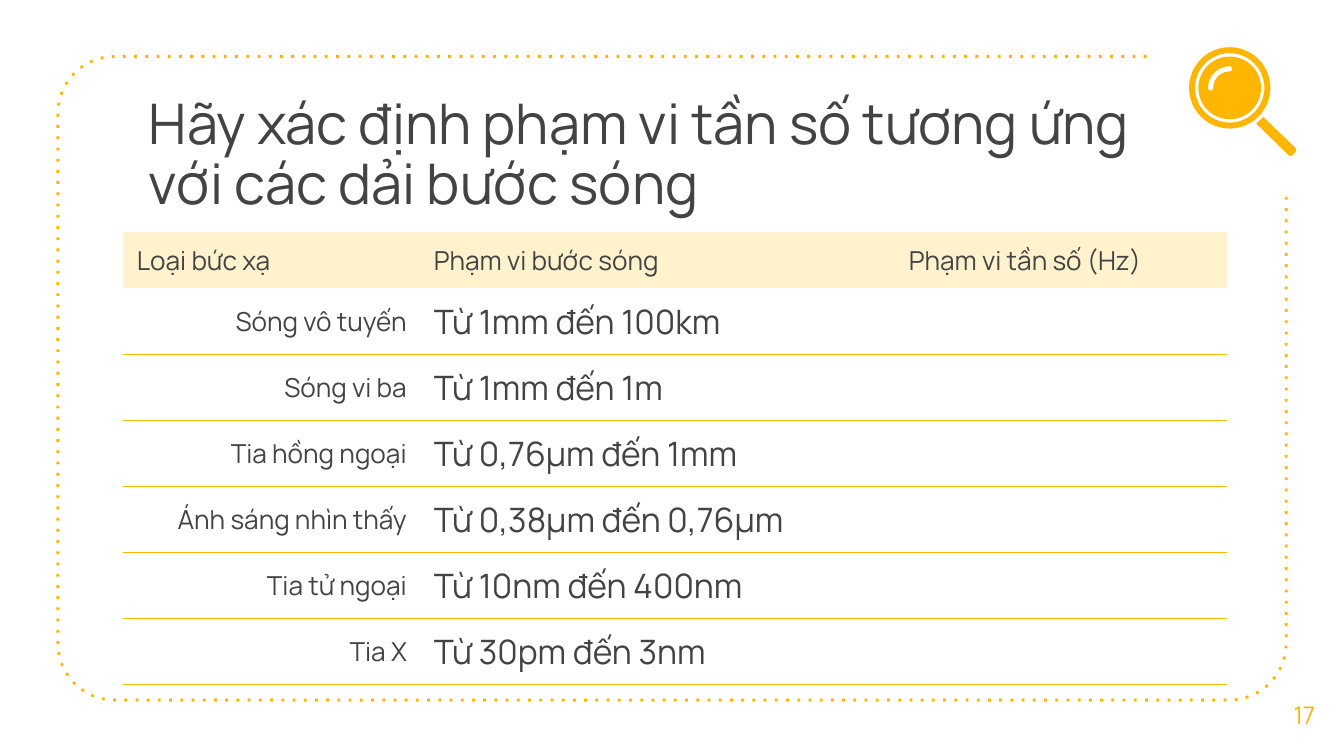
from math import cos, radians, sin

from lxml.etree import SubElement
from pptx import Presentation
from pptx.dml.color import RGBColor as Rgb
from pptx.enum.dml import MSO_LINE as Dash
from pptx.enum.text import MSO_ANCHOR as Anchor, PP_ALIGN as Align
from pptx.oxml.ns import qn
from pptx.util import Pt

FONT = "Manrope"
COLORS = {"gold": "FFB600", "cream": "FFF2CC", "ink": "434343"}
PLAIN = "{2D5ABB26-0587-4C30-8999-92F81FD0307C}"
HEAD = ["Loại bức xạ", "Phạm vi bước sóng", "Phạm vi tần số (Hz)"]
BANDS = [
    ("Sóng vô tuyến", "Từ 1mm đến 100km"),
    ("Sóng vi ba", "Từ 1mm đến 1m"),
    ("Tia hồng ngoại", "Từ 0,76µm đến 1mm"),
    ("Ánh sáng nhìn thấy", "Từ 0,38µm đến 0,76µm"),
    ("Tia tử ngoại", "Từ 10nm đến 400nm"),
    ("Tia X", "Từ 30pm đến 3nm"),
]


def color(name):
    return Rgb.from_string(COLORS[name])


def arc(x, y, r, start, end, steps=16):
    turns = [radians(start + (end - start) * i / steps) for i in range(steps + 1)]
    return [(x + r * cos(t), y + r * sin(t)) for t in turns]


def outline(slide, paths, close=True):
    paths = [[(Pt(x), Pt(y)) for x, y in path] for path in paths]
    pen = slide.shapes.build_freeform(*paths[0][0], scale=1.0)
    for i, path in enumerate(paths):
        if i:
            pen.move_to(*path[0])
        pen.add_line_segments(path[1:], close=close)
    shape = pen.convert_to_shape()
    shape.shadow.inherit = False
    return shape


def add_solid(slide, paths):
    shape = outline(slide, paths)
    shape.fill.solid()
    shape.fill.fore_color.rgb = color("gold")
    shape.line.fill.background()


def add_frame(slide):
    left, top, right, low, r = 31, 30.2, 689, 375.1, 30.5
    path = [(614.2, top)]
    path += arc(left + r, top + r, r, 270, 180)
    path += arc(left + r, low - r, r, 180, 90)
    path += arc(right - r, low - r, r, 90, 0)
    path.append((right, 105.1))
    shape = outline(slide, [path], close=False)
    shape.fill.background()
    line = shape.line
    line.color.rgb = color("gold")
    line.width = Pt(1.5)
    line.dash_style = Dash.ROUND_DOT
    next(shape.element.iter(qn("a:prstDash"))).set("val", "dot")


def add_lens(slide):
    x, y, mid, cap = 658.8, 47.1, 10.2, 1.4
    add_solid(slide, [arc(x, y, r, 0, 360, 48) for r in (18.6, 21.8)])
    glint = arc(x, y, mid + cap, 180, 270)
    glint += arc(x, y - mid, cap, 270, 450)
    glint += arc(x, y, mid - cap, 270, 180)
    glint += arc(x - mid, y, cap, 0, 180)
    add_solid(slide, [glint, arc(x, y, 16.8, 0, 360, 48)])
    add_solid(slide, [[(676.8, 62.7), (694, 79.2), (694.5, 80.4), (694, 81.6),
                       (692.6, 83), (691.4, 83.6), (690.2, 83), (673, 66.2)]])


def style(para, size, name="ink", align=Align.LEFT):
    para.alignment = align
    font = para.font
    font.name, font.size, font.color.rgb = FONT, Pt(size), color(name)


def add_text(slide, text, box, size, name, align, anchor, top=7.2):
    frame = slide.shapes.add_textbox(*map(Pt, box)).text_frame
    frame.word_wrap = True
    frame.vertical_anchor = anchor
    frame.margin_left = frame.margin_right = frame.margin_bottom = Pt(7.2)
    frame.margin_top = Pt(top)
    para = frame.paragraphs[0]
    para.text = text
    style(para, size, name, align)
    return para


def rule_below(cell):
    line = SubElement(cell._tc.get_or_add_tcPr(), qn("a:lnB"), w=str(Pt(0.75)))
    fill = SubElement(line, qn("a:solidFill"))
    SubElement(fill, qn("a:srgbClr"), val=COLORS["gold"])


def fill_cell(cell, text, size, align):
    cell.vertical_anchor = Anchor.MIDDLE
    cell.margin_left = cell.margin_right = Pt(7.2)
    cell.margin_top = cell.margin_bottom = Pt(5.4)
    para = cell.text_frame.paragraphs[0]
    para.text = text
    style(para, size, align=align)


def add_bands(slide):
    shape = slide.shapes.add_table(
        len(BANDS) + 1, 3, Pt(66.1), Pt(124.4), Pt(591.1), Pt(242.4))
    table = shape.table
    table.first_row = table.horz_banding = False
    next(shape.element.iter(qn("a:tableStyleId"))).text = PLAIN
    for col, width in zip(table.columns, (159.1, 216, 216)):
        col.width = Pt(width)
    for i, row in enumerate(table.rows):
        row.height = Pt(35.4 if i else 30)
    for cell, text, align in zip(
            table.rows[0].cells, HEAD, (Align.LEFT, Align.LEFT, Align.CENTER)):
        fill_cell(cell, text, 14, align)
        cell.fill.solid()
        cell.fill.fore_color.rgb = color("cream")
    for i, (kind, span) in enumerate(BANDS, 1):
        fill_cell(table.cell(i, 0), kind, 14, Align.RIGHT)
        fill_cell(table.cell(i, 1), span, 18, Align.LEFT)
        for cell in table.rows[i].cells:
            rule_below(cell)
            cell.fill.background()


def main():
    """Build the slide on wavelength bands and save it."""
    deck = Presentation()
    deck.slide_width, deck.slide_height = Pt(720), Pt(405)
    slide = deck.slides.add_slide(deck.slide_layouts[6])
    add_frame(slide)
    title = add_text(
        slide, "Hãy xác định phạm vi tần số tương ứng với các dải bước sóng",
        (72.7, 40.3, 540.7, 67.7), 30, "ink", Align.LEFT, Anchor.TOP, 12)
    title.line_spacing = 0.88
    add_bands(slide)
    add_text(slide, "17", (677.5, 361.4, 42.5, 43.2), 13, "gold",
             Align.CENTER, Anchor.MIDDLE)
    add_lens(slide)
    deck.save("out.pptx")


if __name__ == "__main__":
    main()
